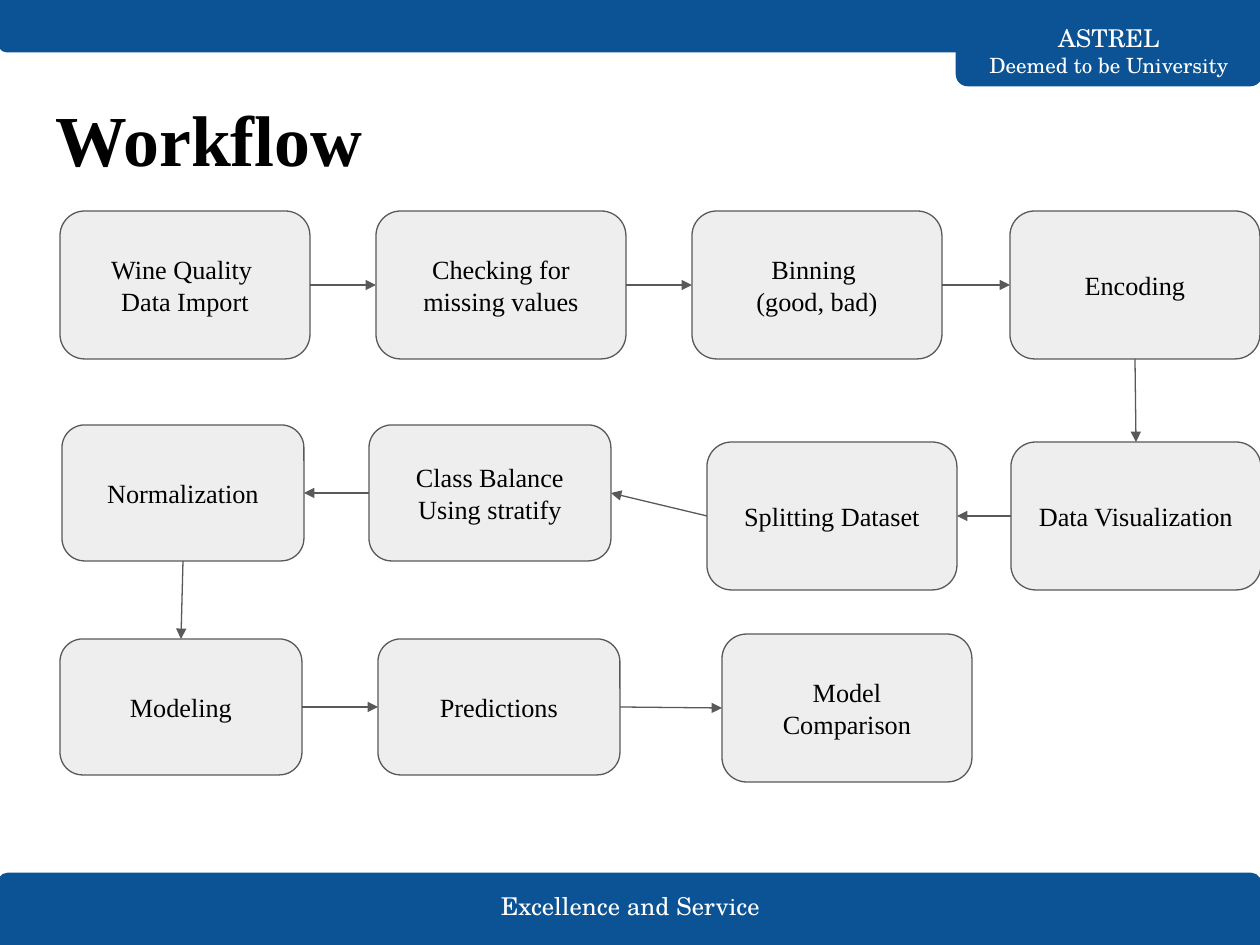
"""Build the workflow slide: ten boxes joined by arrows between two brand bars."""
from itertools import pairwise

from lxml import etree
from pptx import Presentation
from pptx import util as u
from pptx.dml.color import RGBColor
from pptx.enum import shapes, text
from pptx.oxml.ns import qn

EMU_PER_PX = 914400 / 126
COLORS = {"brand": "0B5394", "box": "EEEEEE", "outline": "595959",
          "dark": "000000", "light": "FFFFFF"}
SERIF, BRAND_FONT = "Times New Roman", "TeX Gyre Schola"
TOP, LEFT, BOTTOM, RIGHT = range(4)
SIDES = {"right": (RIGHT, LEFT), "left": (LEFT, RIGHT), "down": (BOTTOM, TOP)}
LARGE, SMALL = (250, 148), (242, 136)
STEPS = [
    ("Wine Quality \nData Import", (60, 211), LARGE, "right"),
    ("Checking for missing values", (376, 211), LARGE, "right"),
    ("Binning \n(good, bad)", (692, 211), LARGE, "right"),
    ("Encoding", (1010, 211), LARGE, "down"),
    ("Data Visualization", (1011, 442), LARGE, "left"),
    ("Splitting Dataset", (707, 442), LARGE, "left"),
    ("Class Balance\nUsing stratify", (369, 425), SMALL, "left"),
    ("Normalization", (62, 425), SMALL, "down"),
    ("Modeling", (60, 639), SMALL, "right"),
    ("Predictions", (378, 639), SMALL, "right"),
    ("Model\nComparison", (722, 634), LARGE, None),
]


def px(*lengths):
    return [u.Emu(round(length * EMU_PER_PX)) for length in lengths]


def color(name):
    return RGBColor.from_string(COLORS[name])


def write(shape, content, sizes=(15,), font=SERIF, ink="dark", bold=False,
          align=text.PP_ALIGN.CENTER, anchor=text.MSO_ANCHOR.MIDDLE):
    frame = shape.text_frame
    frame.word_wrap = True
    frame.auto_size = text.MSO_AUTO_SIZE.NONE
    frame.vertical_anchor = anchor
    frame.margin_left = frame.margin_right = u.Inches(0.1)
    frame.margin_top = frame.margin_bottom = u.Inches(0.1)
    frame.text = content
    for index, paragraph in enumerate(frame.paragraphs):
        paragraph.alignment = align
        for run in paragraph.runs:
            run.font.name = font
            run.font.size = u.Pt(sizes[index % len(sizes)])
            run.font.bold = bold
            run.font.color.rgb = color(ink)


class SlideBuilder:
    def __init__(self, slide):
        self.slide = slide

    def title(self, content, *place):
        title = self.slide.shapes.title
        title.left, title.top, title.width, title.height = px(*place)
        write(title, content, sizes=(41,), bold=True,
              align=text.PP_ALIGN.LEFT, anchor=text.MSO_ANCHOR.TOP)

    def shape(self, kind, place, fill, line, weight):
        shape = self.slide.shapes.add_shape(kind, *px(*place))
        shape.shadow.inherit = False
        shape.fill.solid()
        shape.fill.fore_color.rgb = color(fill)
        shape.line.color.rgb = color(line)
        shape.line.width = u.Pt(weight)
        return shape

    def bar(self, *place, rotation=0):
        bar = self.shape(shapes.MSO_SHAPE.ROUND_2_SAME_RECTANGLE, place,
                         "brand", "brand", 1.5)
        bar.adjustments[0] = 0.125
        bar.rotation = rotation

    def label(self, content, *place, sizes):
        label = self.slide.shapes.add_textbox(*px(*place))
        write(label, content, sizes=sizes, font=BRAND_FONT, ink="light")

    def box(self, content, corner, size):
        box = self.shape(shapes.MSO_SHAPE.ROUNDED_RECTANGLE, corner + size,
                         "box", "outline", 0.75)
        write(box, content)
        return box

    def arrow(self, start, end, direction):
        arrow = self.slide.shapes.add_connector(
            shapes.MSO_CONNECTOR.STRAIGHT, 0, 0, 0, 0)
        start_side, end_side = SIDES[direction]
        arrow.begin_connect(start, start_side)
        arrow.end_connect(end, end_side)
        arrow.line.color.rgb = color("outline")
        arrow.line.width = u.Pt(0.75)
        line = arrow.line._get_or_add_ln()
        etree.SubElement(line, qn("a:tailEnd"), type="triangle")
        etree.SubElement(arrow._element.spPr, qn("a:effectLst"))


def main():
    presentation = Presentation()
    presentation.slide_width, presentation.slide_height = px(1260, 945)
    builder = SlideBuilder(
        presentation.slides.add_slide(presentation.slide_layouts[5]))

    builder.bar(-1, 874, 1261, 71)
    builder.label("Excellence and Service", 461, 886, 339, 40, sizes=(14,))
    builder.bar(957, 0, 304, 85, rotation=180)
    builder.bar(0, 0, 1261, 51, rotation=180)
    builder.label("ASTREL\nDeemed to be University", 957, 34, 304, 32,
                  sizes=(14, 12))
    builder.title("Workflow", 43, 82, 1174, 105)

    boxes = [builder.box(*step[:3]) for step in STEPS]
    for (start, end), step in zip(pairwise(boxes), STEPS):
        builder.arrow(start, end, step[3])

    presentation.save("out.pptx")


if __name__ == "__main__":
    main()
